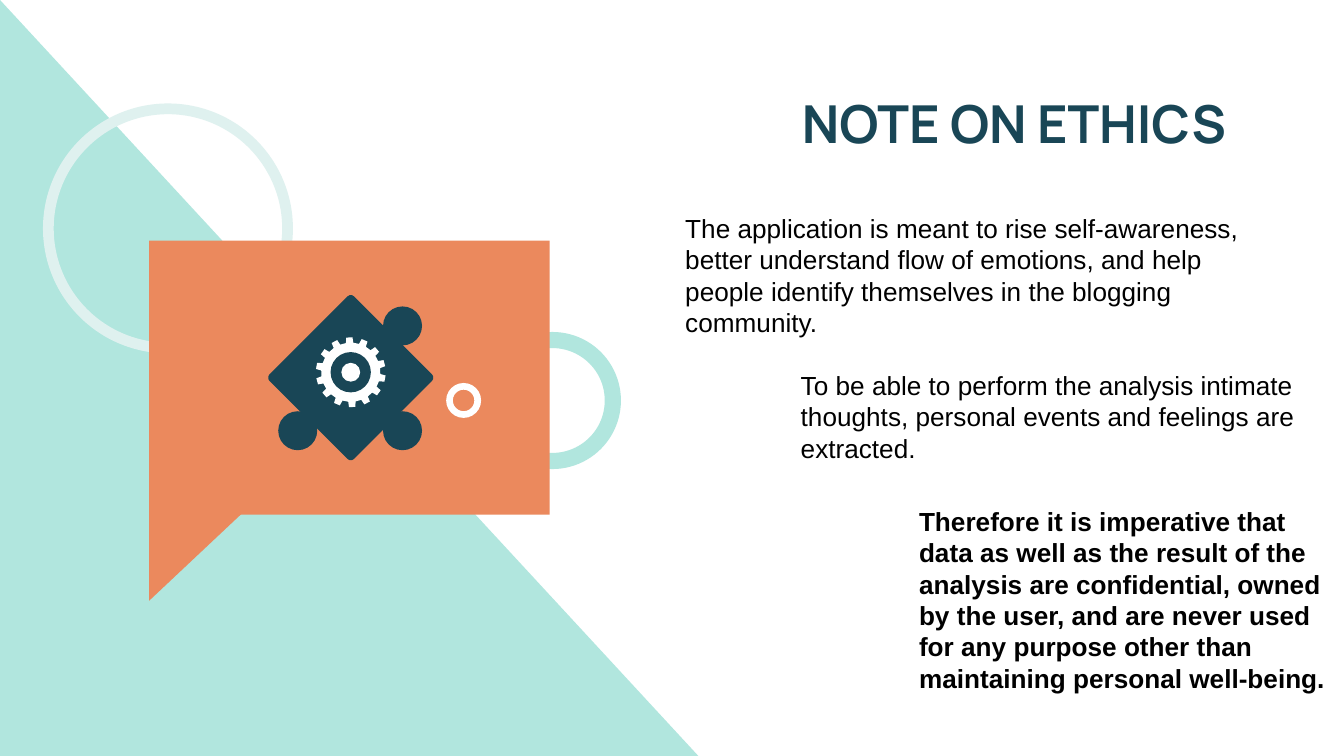
"""Build the slide on ethics with its speech bubble and puzzle piece."""
from math import cos, pi, sin

from pptx import Presentation
from pptx.dml.color import RGBColor as Rgb
from pptx.enum.shapes import MSO_SHAPE as Kind
from pptx.enum.text import MSO_ANCHOR as Anchor, PP_ALIGN as Align
from pptx.util import Inches, Pt

HUES = {"mint": "B1E6DE", "pale": "DFF1EF", "coral": "EB895D",
        "navy": "194656", "white": "FFFFFF", "black": "000000"}

deck = Presentation()
deck.slide_width, deck.slide_height = Inches(10), Inches(10 * 9 / 16)
slide = deck.slides.add_slide(deck.slide_layouts[6])
shapes = slide.shapes


def paint(shape, hue):
    shape.shadow.inherit = False
    shape.fill.solid()
    shape.fill.fore_color.rgb = Rgb.from_string(HUES[hue])
    shape.line.fill.background()
    return shape


def write(text, box, size=14, font="Arial", hue="black", bold=False,
          align=Align.LEFT, anchor=Anchor.TOP, pad=0.05):
    frame = shapes.add_textbox(*map(Inches, box)).text_frame
    frame.word_wrap = True
    frame.vertical_anchor = anchor
    frame.margin_top = frame.margin_bottom = Inches(pad)
    para = frame.paragraphs[0]
    para.alignment = align
    run = para.add_run()
    run.text = text
    run.font.size, run.font.name, run.font.bold = Pt(size), font, bold
    run.font.color.rgb = Rgb.from_string(HUES[hue])


wedge = shapes.add_shape(Kind.RIGHT_TRIANGLE, 0, 0, Inches(5.21), Inches(5.64))
paint(wedge, "mint")

rings = [(0.32, 0.77, 1.86, 0.08, "pale"),
         (3.6, 2.47, 1.02, 0.12, "mint"),
         (3.32, 2.85, 0.26, 0.05, "white")]
for left, top, size, thick, hue in rings:
    if hue == "white":
        bubble = shapes.add_shape(Kind.RECTANGLE, Inches(1.11), Inches(1.79),
                                  Inches(2.98), Inches(2.04))
        paint(bubble, "coral")
    ring = shapes.add_shape(Kind.DONUT, Inches(left), Inches(top),
                            Inches(size), Inches(size))
    ring.adjustments[0] = thick / size
    paint(ring, hue)

tail = shapes.build_freeform(Inches(1.11), Inches(3.68))
tail.add_line_segments([(Inches(x), Inches(y))
                        for x, y in [(1.95, 3.68), (1.11, 4.47)]])
paint(tail.convert_to_shape(), "coral")

side = 0.89
piece = shapes.add_shape(Kind.ROUNDED_RECTANGLE, Inches(2.61 - side / 2),
                         Inches(2.81 - side / 2), Inches(side), Inches(side))
piece.adjustments[0] = 0.04
piece.rotation = 45
paint(piece, "navy")

for left, top in [(2.85, 2.28), (2.07, 3.06), (2.85, 3.06)]:
    knob = shapes.add_shape(Kind.OVAL, Inches(left), Inches(top),
                            Inches(0.29), Inches(0.29))
    paint(knob, "navy")

mid_x, mid_y, teeth = 2.61, 2.77, 14
rim = []
for tooth in range(teeth):
    for part, reach in [(-0.28, 0.22), (-0.2, 0.26), (0.2, 0.26), (0.28, 0.22)]:
        turn = 2 * pi * (tooth + part) / teeth - 0.04
        rim.append((Inches(mid_x + reach * sin(turn)),
                    Inches(mid_y - reach * cos(turn))))
gear = shapes.build_freeform(*rim[0])
gear.add_line_segments(rim[1:])
paint(gear.convert_to_shape(), "white")

for wide, hue in [(0.3, "navy"), (0.14, "white")]:
    disc = shapes.add_shape(Kind.OVAL, Inches(mid_x - wide / 2),
                            Inches(mid_y - wide / 2), Inches(wide), Inches(wide))
    paint(disc, hue)

write("NOTE ON ETHICS", (5.32, 0.59, 3.9, 0.64), size=28, font="Manrope",
      hue="navy", bold=True, align=Align.RIGHT, anchor=Anchor.MIDDLE, pad=0.1)
write("The application is meant to rise self-awareness, better understand flow "
      "of emotions, and help people identify themselves in the blogging "
      "community.", (5, 1.53, 4.68, 0.81))
write("To be able to perform the analysis intimate thoughts, personal events "
      "and feelings are extracted.", (5.86, 2.7, 4.04, 0.81))
write("Therefore it is imperative that data as well as the result of the "
      "analysis are confidential, owned by the user, and are never used for "
      "any purpose other than maintaining personal well-being.",
      (6.74, 3.71, 3.26, 1.51), bold=True)

deck.save("out.pptx")
